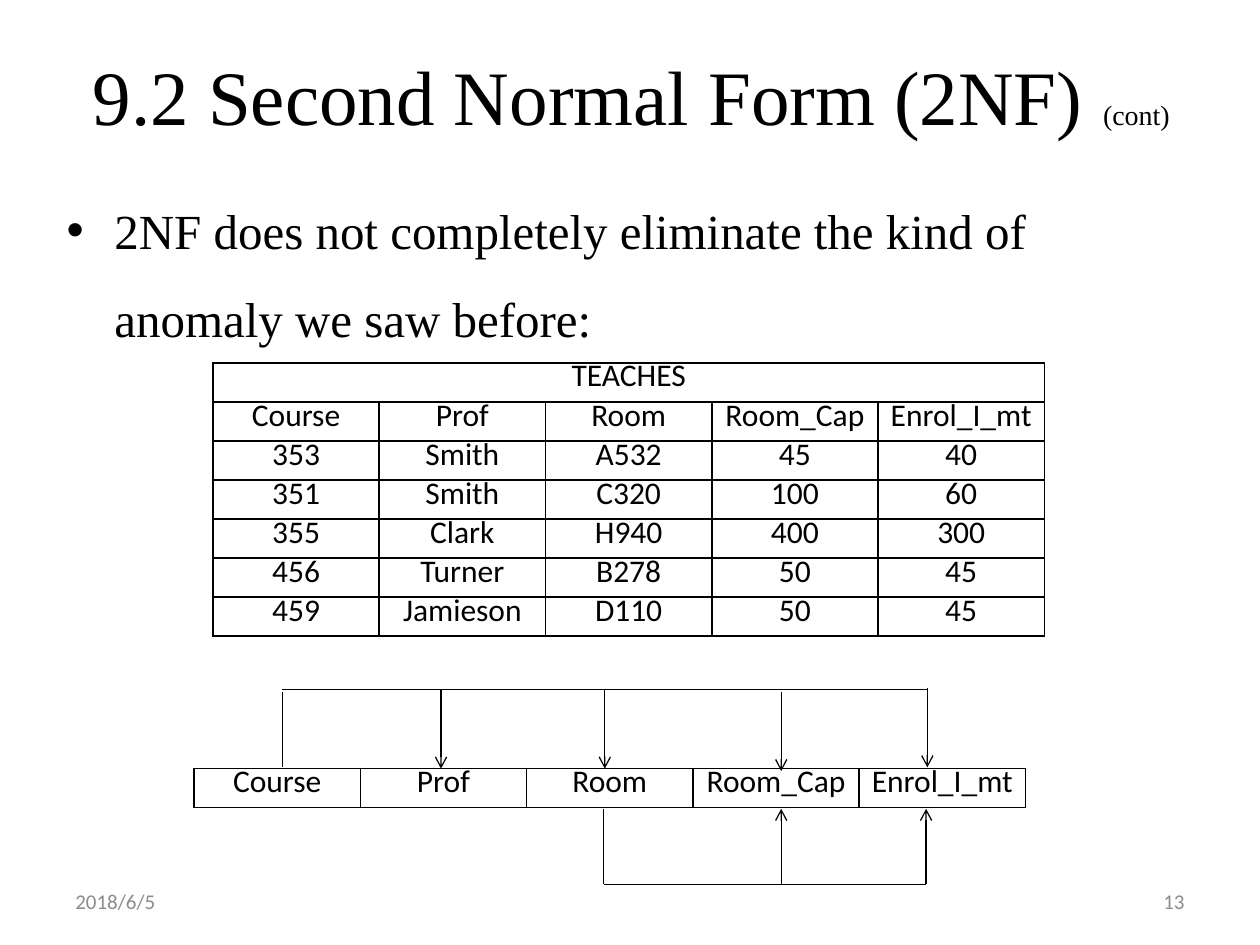
from dataclasses import dataclass
from typing import Any

from lxml import etree
from pptx import Presentation
from pptx.dml.color import RGBColor
from pptx.enum.text import MSO_ANCHOR, PP_ALIGN
from pptx.enum.shapes import MSO_CONNECTOR
from pptx.oxml.ns import qn
from pptx.util import Inches, Pt

LEFT, MID, RIGHT = PP_ALIGN.LEFT, PP_ALIGN.CENTER, PP_ALIGN.RIGHT
TOP, CENTER = MSO_ANCHOR.TOP, MSO_ANCHOR.MIDDLE
LINE = MSO_CONNECTOR.STRAIGHT
BLACK = RGBColor(0, 0, 0)
GREY = RGBColor(0x8C, 0x8C, 0x8C)
SERIF, SANS = "Times New Roman", "Calibri"

COL, ROW = 1.32, 0.31
HEADS = ["Course", "Prof", "Room", "Room_Cap", "Enrol_I_mt"]
DATA = [
    ["353", "Smith", "A532", "45", "40"],
    ["351", "Smith", "C320", "100", "60"],
    ["355", "Clark", "H940", "400", "300"],
    ["456", "Turner", "B278", "50", "45"],
    ["459", "Jamieson", "D110", "50", "45"],
]


@dataclass
class Label:
    box: tuple[float, float, float, float]
    runs: list[tuple[str, int]]
    font: str
    color: RGBColor = BLACK
    align: Any = LEFT
    anchor: Any = CENTER


@dataclass
class Wire:
    start: tuple[float, float]
    end: tuple[float, float]
    arrow: bool = False


TITLE = Label((0.51, 0.13, 9, 1.25),
              [("9.2 Second Normal Form (2NF) ", 44), ("(cont)", 16)],
              SERIF, align=MID)
BODY = Label((0.43, 1.31, 9, 5.86),
             [("2NF does not completely eliminate the kind of anomaly we saw before:", 28)],
             SERIF, anchor=TOP)
DATE = Label((0.5, 6.95, 2.33, 0.4), [("2018/6/5", 12)], SANS, GREY)
PAGE = Label((7.17, 6.95, 2.33, 0.4), [("13", 12)], SANS, GREY, RIGHT)

WIRES = [
    Wire((2.24, 5.47), (7.36, 5.47)),
    Wire((2.24, 5.49), (2.24, 6.09)),
    *[Wire((x, y), (x, y + 0.63), True)
      for x, y in [(3.5, 5.47), (4.8, 5.47), (6.2, 5.49), (7.36, 5.46)]],
    Wire((4.79, 7.02), (7.35, 7.02)),
    Wire((4.79, 6.42), (4.79, 7.02)),
    *[Wire((x, 7.02), (x, 6.42), True) for x in (6.2, 7.35)],
]


def apply(item: Any, form: dict[str, Any]) -> None:
    for name, value in form.items():
        setattr(item, name, value)


def add_run(para: Any, text: str, size: int, font: str, color: RGBColor) -> None:
    run = para.add_run()
    run.text = text
    apply(run.font, {"size": Pt(size), "name": font})
    run.font.color.rgb = color


def add_label(slide: Any, label: Label) -> Any:
    shape = slide.shapes.add_textbox(*map(Inches, label.box))
    frame = shape.text_frame
    apply(frame, {"word_wrap": True, "vertical_anchor": label.anchor})
    para = frame.paragraphs[0]
    para.alignment = label.align
    for text, size in label.runs:
        add_run(para, text, size, label.font, label.color)
    return para


def add_bullet(para: Any) -> None:
    apply(para, {"line_spacing": 1.5, "space_before": Pt(5.6)})
    props = para._p.get_or_add_pPr()
    props.set("marL", str(Inches(0.38)))
    props.set("indent", str(-Inches(0.38)))
    etree.SubElement(props, qn("a:buFont"), typeface="Arial")
    etree.SubElement(props, qn("a:buChar"), char="•")


def add_edges(cell: Any) -> None:
    props = cell._tc.get_or_add_tcPr()
    for place, side in enumerate(("lnL", "lnR", "lnT", "lnB")):
        edge = etree.Element(qn(f"a:{side}"), w=str(Pt(1)))
        fill = etree.SubElement(edge, qn("a:solidFill"))
        etree.SubElement(fill, qn("a:srgbClr"), val=str(BLACK))
        props.insert(place, edge)


def add_grid(slide: Any, left: float, top: float, rows: list[list[str]]) -> Any:
    count, width = len(rows), len(HEADS)
    table = slide.shapes.add_table(
        count, width, Inches(left), Inches(top),
        Inches(COL * width), Inches(ROW * count)).table
    apply(table, {"first_row": False, "horz_banding": False})
    for r, row in enumerate(rows):
        for c, text in enumerate(row):
            cell = table.cell(r, c)
            apply(cell, {"margin_left": Inches(0.05), "margin_right": Inches(0.05)})
            cell.fill.background()
            add_edges(cell)
            para = cell.text_frame.paragraphs[0]
            apply(para, {"alignment": MID, "line_spacing": Pt(15)})
            if text:
                add_run(para, text, 18, SANS, BLACK)
    return table


def add_wire(slide: Any, wire: Wire) -> None:
    line = slide.shapes.add_connector(LINE, *map(Inches, wire.start + wire.end))
    line.line.color.rgb = BLACK
    line.line.width = Pt(0.75)
    props = line._element.spPr
    if wire.arrow:
        etree.SubElement(props.find(qn("a:ln")), qn("a:tailEnd"), type="arrow")
    etree.SubElement(props, qn("a:effectLst"))


def main() -> None:
    deck = Presentation()
    apply(deck, {"slide_width": Inches(10), "slide_height": Inches(7.5)})
    slide = deck.slides.add_slide(deck.slide_layouts[6])
    add_bullet(add_label(slide, BODY))
    title = ["TEACHES"] + [""] * (len(HEADS) - 1)
    table = add_grid(slide, 1.69, 2.88, [title, HEADS, *DATA])
    table.cell(0, 0).merge(table.cell(0, len(HEADS) - 1))
    add_grid(slide, 1.54, 6.1, [HEADS])
    for wire in WIRES:
        add_wire(slide, wire)
    for label in (TITLE, DATE, PAGE):
        add_label(slide, label)
    deck.save("out.pptx")


if __name__ == "__main__":
    main()
